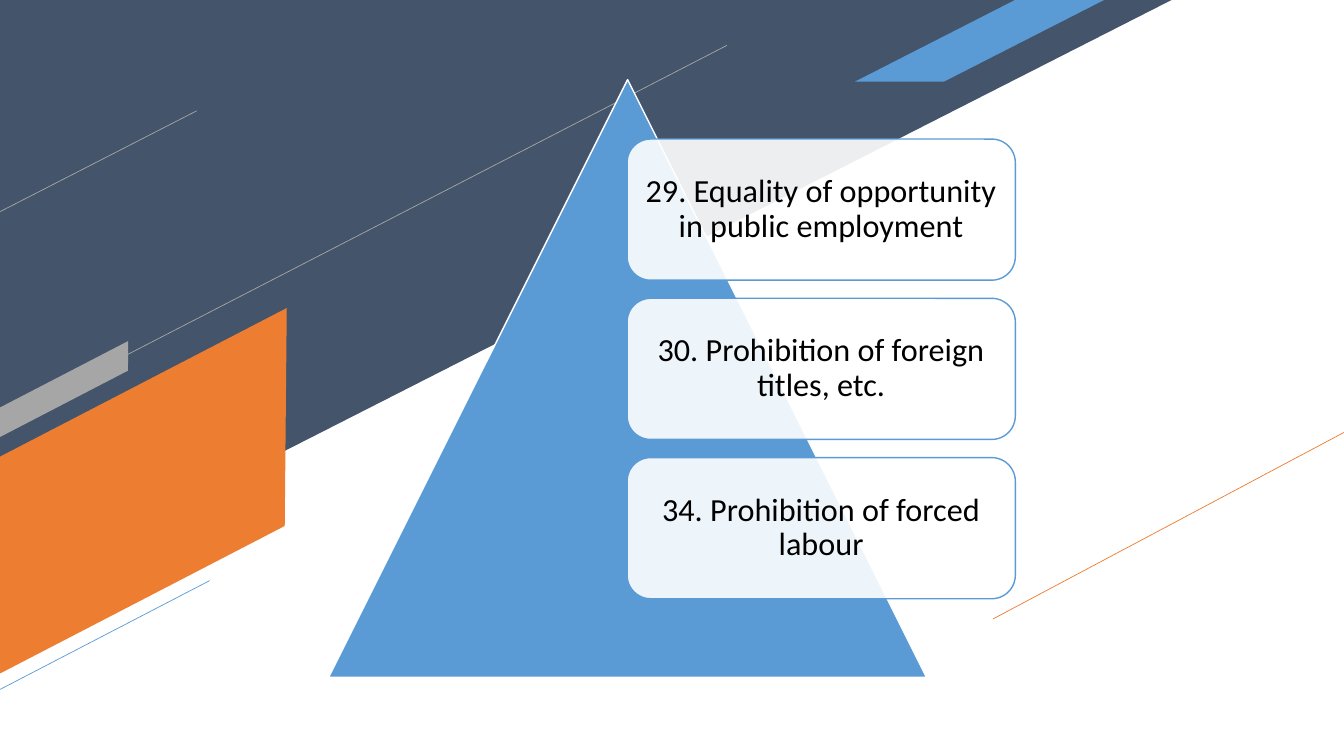
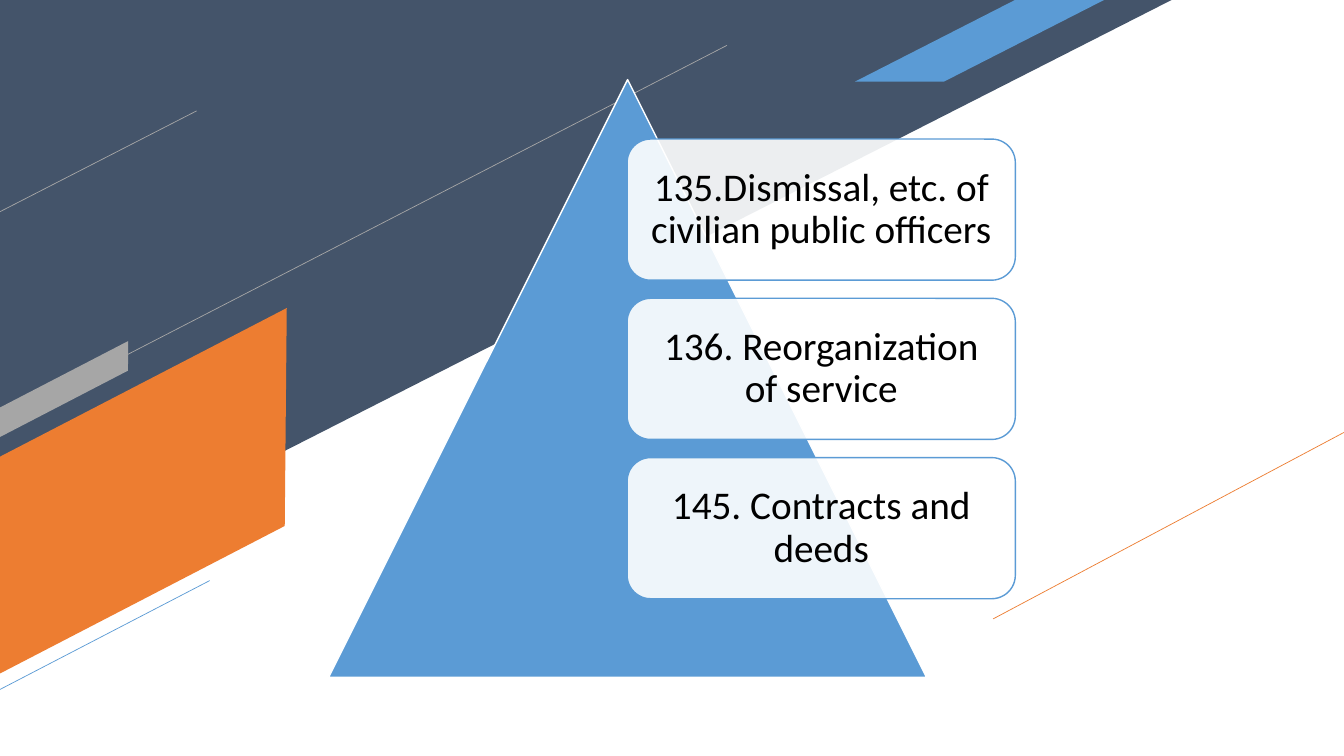
from dataclasses import dataclass
from typing import Optional

from pptx import Presentation
from pptx.dml.color import RGBColor
from pptx.enum.shapes import MSO_CONNECTOR, MSO_SHAPE
from pptx.enum.text import MSO_ANCHOR, PP_ALIGN
from pptx.oxml.ns import qn
from pptx.shapes.autoshape import Shape
from pptx.slide import Slide, SlideLayout
from pptx.util import Inches, Pt
from lxml.etree import SubElement

COLOURS = {
    "navy": "44546A",
    "orange": "ED7D31",
    "grey": "A6A6A6",
    "blue": "5B9BD5",
    "white": "FFFFFF",
    "black": "000000",
}
FONT = "Calibri"
CARD_LEFT, CARD_TOP, CARD_WIDTH, CARD_HEIGHT = 6.22, 1.38, 3.85, 1.4
CARD_STEP = 1.58
CARD_OPACITY = 90


@dataclass(frozen=True)
class Band:
    preset: MSO_SHAPE
    box: tuple[float, float, float, float]
    colour: str
    slant: Optional[float] = None
    rotation: float = 0
    flipped: bool = False


@dataclass(frozen=True)
class Stripe:
    start: tuple[float, float]
    end: tuple[float, float]
    colour: str


@dataclass(frozen=True)
class Topic:
    articles: tuple[str, ...]
    size: int
    inset: float


DECORATION = (
    Band(MSO_SHAPE.RIGHT_TRIANGLE, (0, 0, 11.62, 5.91), "navy", flipped=True),
    Band(MSO_SHAPE.PARALLELOGRAM, (-0.7, 3.92, 4.22, 1.91), "orange", 0.53, 332.6),
    Stripe((0, 2.1), (1.95, 1.1), "grey"),
    Stripe((9.85, 6.14), (13.33, 4.29), "orange"),
    Band(MSO_SHAPE.PARALLELOGRAM, (8.48, 0, 2.47, 0.81), "blue", 1.96),
    Stripe((0, 4.17), (7.21, 0.45), "grey"),
    Stripe((-0.02, 6.85), (2.08, 5.76), "blue"),
    Band(MSO_SHAPE.PARALLELOGRAM, (-0.15, 3.73, 1.57, 0.26), "grey", 0.53, 332.6),
)

TOPICS = (
    Topic(
        (
            "29. Equality of opportunity in public employment",
            "30. Prohibition of foreign titles, etc.",
            "34. Prohibition of forced labour",
        ),
        size=23,
        inset=0.1,
    ),
    Topic(
        (
            "135.Dismissal, etc. of civilian public officers",
            "136. Reorganization of service",
            "145. Contracts and deeds",
        ),
        size=28,
        inset=0.12,
    ),
)


def rgb(name: str) -> RGBColor:
    return RGBColor.from_string(COLOURS[name])


def add_filled(
    slide: Slide,
    preset: MSO_SHAPE,
    box: tuple[float, float, float, float],
    fill: str,
    outline: Optional[str] = None,
) -> Shape:
    shape = slide.shapes.add_shape(preset, *map(Inches, box))
    shape.shadow.inherit = False
    shape.fill.solid()
    shape.fill.fore_color.rgb = rgb(fill)
    if outline:
        shape.line.color.rgb = rgb(outline)
        shape.line.width = Pt(1)
    else:
        shape.line.fill.background()
    return shape


def add_band(slide: Slide, band: Band) -> None:
    shape = add_filled(slide, band.preset, band.box, band.colour)
    shape.rotation = band.rotation
    if band.slant is not None:
        shape.adjustments[0] = band.slant
    if band.flipped:
        shape.element.spPr.find(qn("a:xfrm")).set("flipV", "1")


def add_stripe(slide: Slide, stripe: Stripe) -> None:
    line = slide.shapes.add_connector(
        MSO_CONNECTOR.STRAIGHT, *map(Inches, stripe.start + stripe.end)
    )
    line.line.color.rgb = rgb(stripe.colour)
    line.line.width = Pt(0.5)
    SubElement(line.element.spPr, qn("a:effectLst"))


def decorate_layout(layout: SlideLayout, slide: Slide) -> None:
    for placeholder in list(layout.placeholders):
        layout.shapes.element.remove(placeholder.element)
    for part in DECORATION:
        if isinstance(part, Band):
            add_band(slide, part)
        else:
            add_stripe(slide, part)
    for shape in list(slide.shapes):
        layout.shapes.element.append(shape.element)


def add_card(slide: Slide, row: int, article: str, topic: Topic) -> None:
    box = (CARD_LEFT, CARD_TOP + row * CARD_STEP, CARD_WIDTH, CARD_HEIGHT)
    card = add_filled(slide, MSO_SHAPE.ROUNDED_RECTANGLE, box, "white", "blue")
    fill_colour = card.element.spPr.find(qn("a:solidFill")).find(qn("a:srgbClr"))
    SubElement(fill_colour, qn("a:alpha")).set("val", str(CARD_OPACITY * 1000))

    frame = card.text_frame
    frame.word_wrap = True
    frame.vertical_anchor = MSO_ANCHOR.MIDDLE
    frame.margin_left = frame.margin_right = Inches(topic.inset)
    frame.margin_top = frame.margin_bottom = Inches(topic.inset)
    paragraph = frame.paragraphs[0]
    paragraph.alignment = PP_ALIGN.CENTER
    paragraph.line_spacing = 0.9
    run = paragraph.add_run()
    run.text = article
    run.font.name = FONT
    run.font.size = Pt(topic.size)
    run.font.color.rgb = rgb("black")


def add_pyramid(slide: Slide, topic: Topic) -> None:
    add_filled(
        slide, MSO_SHAPE.ISOSCELES_TRIANGLE, (3.26, 0.79, 5.93, 5.93), "blue", "white"
    )
    for row, article in enumerate(topic.articles):
        add_card(slide, row, article, topic)


def main() -> None:
    deck = Presentation()
    deck.slide_width, deck.slide_height = Inches(13.33), Inches(7.5)
    layout = deck.slide_layouts[6]
    slides = [deck.slides.add_slide(layout) for _ in TOPICS]
    decorate_layout(layout, slides[0])
    for slide, topic in zip(slides, TOPICS):
        add_pyramid(slide, topic)
    deck.save("out.pptx")


if __name__ == "__main__":
    main()
